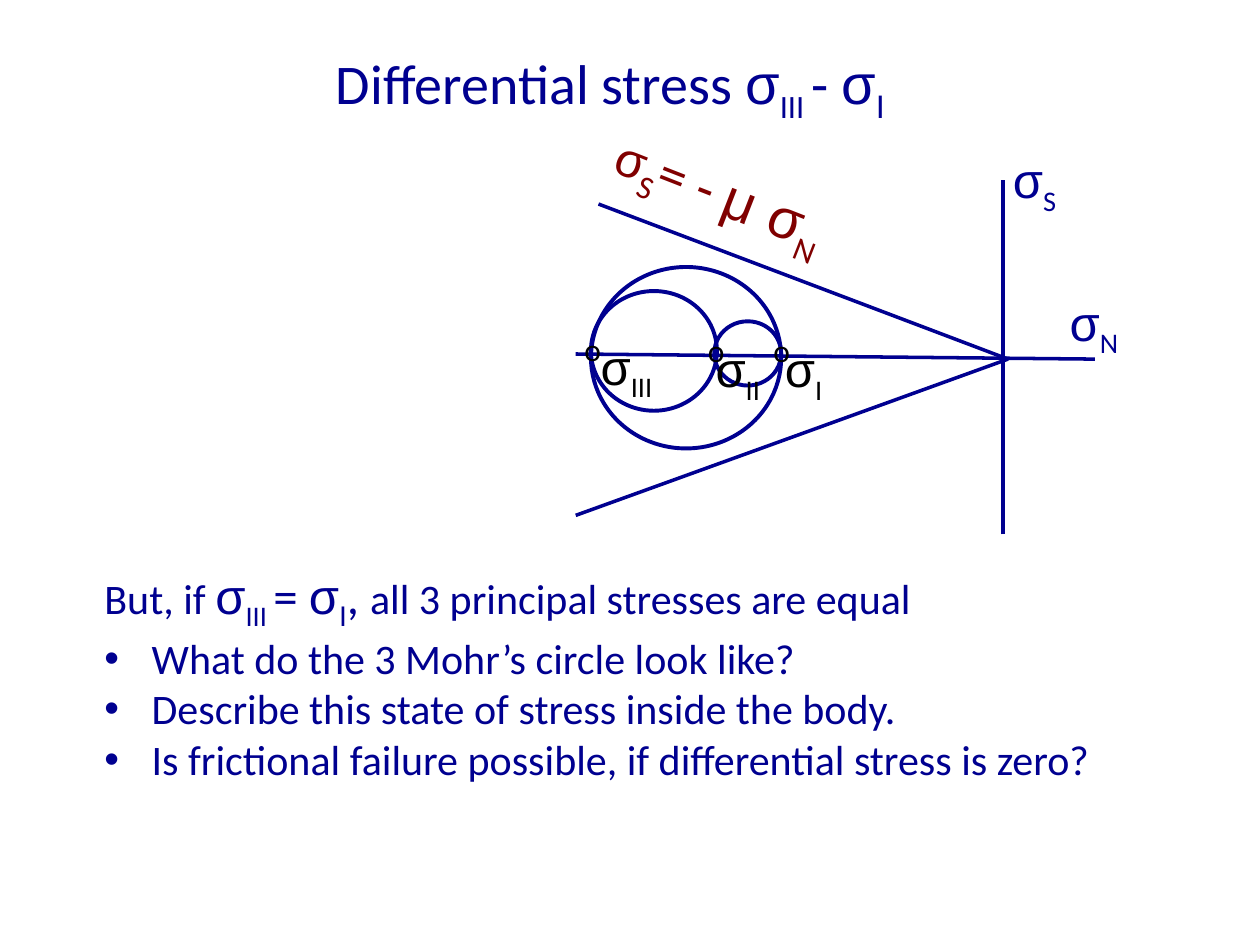
import pptx
import pptx.dml.color
import pptx.enum.shapes
import pptx.enum.text
import pptx.oxml.ns
import pptx.util
from lxml import etree

Pt = pptx.util.Pt
COLORS = {"navy": "000090", "maroon": "800000", "black": "000000"}
SYMBOL = {"name": "Arial"}
SUBSCRIPT = -25000


class StressSlide:
    fonts = {"name": "Calibri", "size": Pt(28)}

    def __init__(self, deck):
        self.page = deck.slides.add_slide(deck.slide_layouts[6])

    def color(self, name):
        return pptx.dml.color.RGBColor.from_string(COLORS[name])

    def text(self, place, paragraphs, color="navy", size=28, wrap=False,
             rotation=0, bullets_from=None, **frame_format):
        box = self.page.shapes.add_textbox(*map(Pt, place))
        box.rotation = rotation
        frame = box.text_frame
        settings = {"word_wrap": wrap, **frame_format}
        for key, value in settings.items():
            setattr(frame, key, value)
        for index, spans in enumerate(paragraphs):
            para = frame.paragraphs[0] if index == 0 else frame.add_paragraph()
            if bullets_from is not None and index >= bullets_from:
                self.bullet(para)
            for words, changes in spans:
                self.span(para, words, color, size, changes)
        return box

    def span(self, para, words, color, size, changes):
        span = para.add_run()
        span.text = words
        values = {**self.fonts, "size": Pt(size), **changes}
        baseline = values.pop("baseline", None)
        for key, value in values.items():
            setattr(span.font, key, value)
        span.font.color.rgb = self.color(color)
        if baseline:
            span.font._element.set("baseline", str(baseline))

    def bullet(self, para):
        properties = para._p.get_or_add_pPr()
        for key, value in {"marL": Pt(27), "indent": -Pt(27)}.items():
            properties.set(key, str(int(value)))
        for tag, key, value in (("a:buFont", "typeface", "Arial"), ("a:buChar", "char", "•")):
            etree.SubElement(properties, pptx.oxml.ns.qn(tag)).set(key, value)

    def line(self, start, end):
        line = self.page.shapes.add_connector(
            pptx.enum.shapes.MSO_CONNECTOR.STRAIGHT, *map(Pt, (*start, *end)))
        line.line.width = Pt(2)
        line.line.color.rgb = self.color("navy")
        etree.SubElement(line._element.spPr, pptx.oxml.ns.qn("a:effectLst"))

    def circle(self, place):
        circle = self.page.shapes.add_shape(
            pptx.enum.shapes.MSO_SHAPE.OVAL, *map(Pt, place))
        circle.shadow.inherit = False
        circle.fill.background()
        circle.line.width = Pt(2.25)
        circle.line.color.rgb = self.color("navy")


def sigma(index, size=28, **changes):
    return [("σ", {**SYMBOL, "size": Pt(size)}),
            (index, {"size": Pt(size), "baseline": SUBSCRIPT, **changes})]


deck = pptx.Presentation()
deck.slide_width, deck.slide_height = Pt(720), Pt(540)
slide = StressSlide(deck)

title = slide.text(
    (28.8, 21.6, 648, 90),
    [[("Differential stress ", {}), *sigma("III ", 32), ("- ", {}), *sigma("Ι", 32, **SYMBOL)]],
    size=32, wrap=True, margin_top=Pt(6), margin_right=Pt(15),
    vertical_anchor=pptx.enum.text.MSO_ANCHOR.TOP)
title.text_frame.paragraphs[0].alignment = pptx.enum.text.PP_ALIGN.CENTER

questions = ("What do the 3 Mohr’s circle look like?",
             "Describe this state of stress inside the body.",
             "Is frictional failure possible, if differential stress is zero?")
premise = [("But, if ", {}), *sigma("III "), ("= ", {"size": Pt(28)}),
           *sigma("Ι", **SYMBOL), (", ", {"size": Pt(28)}),
           ("all 3 principal stresses are equal", {})]
slide.text((52.6, 319.7, 585.4, 128.2),
           [premise, *([(question, {})] for question in questions)],
           size=24, bullets_from=1)

apex = (576, 205.2)
for start, end in (((329, 202.3), (625.7, 205.2)),
                   ((573.1, 305.3), (573.1, 103)),
                   ((342, 116.6), apex),
                   ((329, 294.5), apex)):
    slide.line(start, end)

for place in ((337.7, 152.6, 108.7, 103.7),
              (337.7, 166.3, 72, 68.4),
              (408.2, 183.6, 38.2, 36.7)):
    slide.circle(place)

for index, left, top, width, color in (("N", 604.1, 163.4, 43.9, "navy"),
                                       ("S", 571.7, 82.1, 40.3, "navy"),
                                       ("III", 336.2, 188.6, 46.1, "black"),
                                       ("II", 401.8, 190.1, 41, "black"),
                                       ("I", 441.4, 190.1, 36, "black")):
    slide.text((left, top, width, 41), [sigma(index)], color)

slide.text((342, 89.3, 155.5, 46.1),
           [[("σ", {**SYMBOL, "size": Pt(28)}), ("S", {"baseline": SUBSCRIPT}),
             ("= - ", {}), ("μ ", SYMBOL), *sigma("N", 32)]],
           "maroon", size=32, wrap=True, rotation=21.4)

for left, top in ((326.9, 185), (397.4, 185.8), (434.9, 185.8)):
    slide.text((left, top, 24.5, 28.8), [[("o", {})]], "black", size=18)

deck.save("out.pptx")
